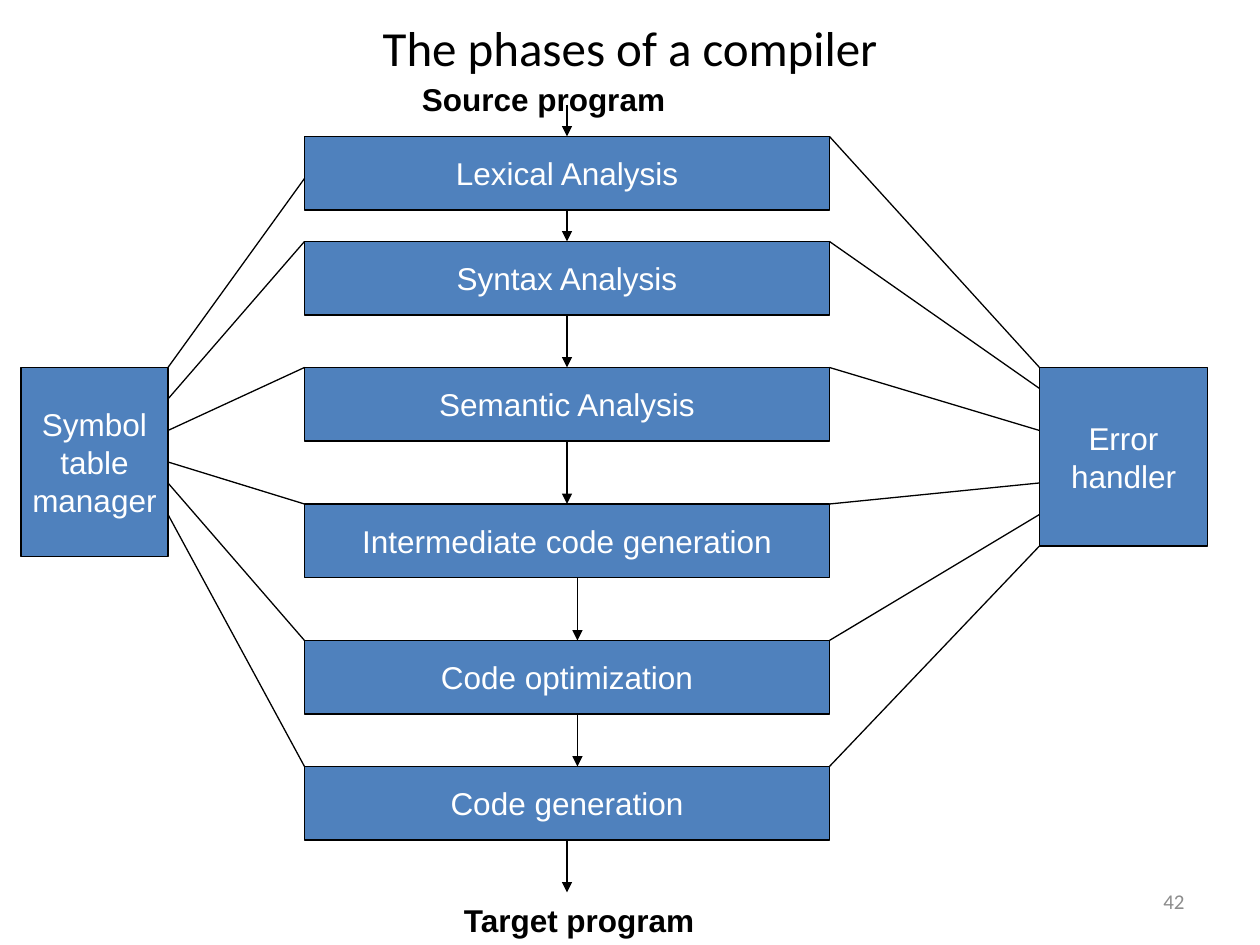
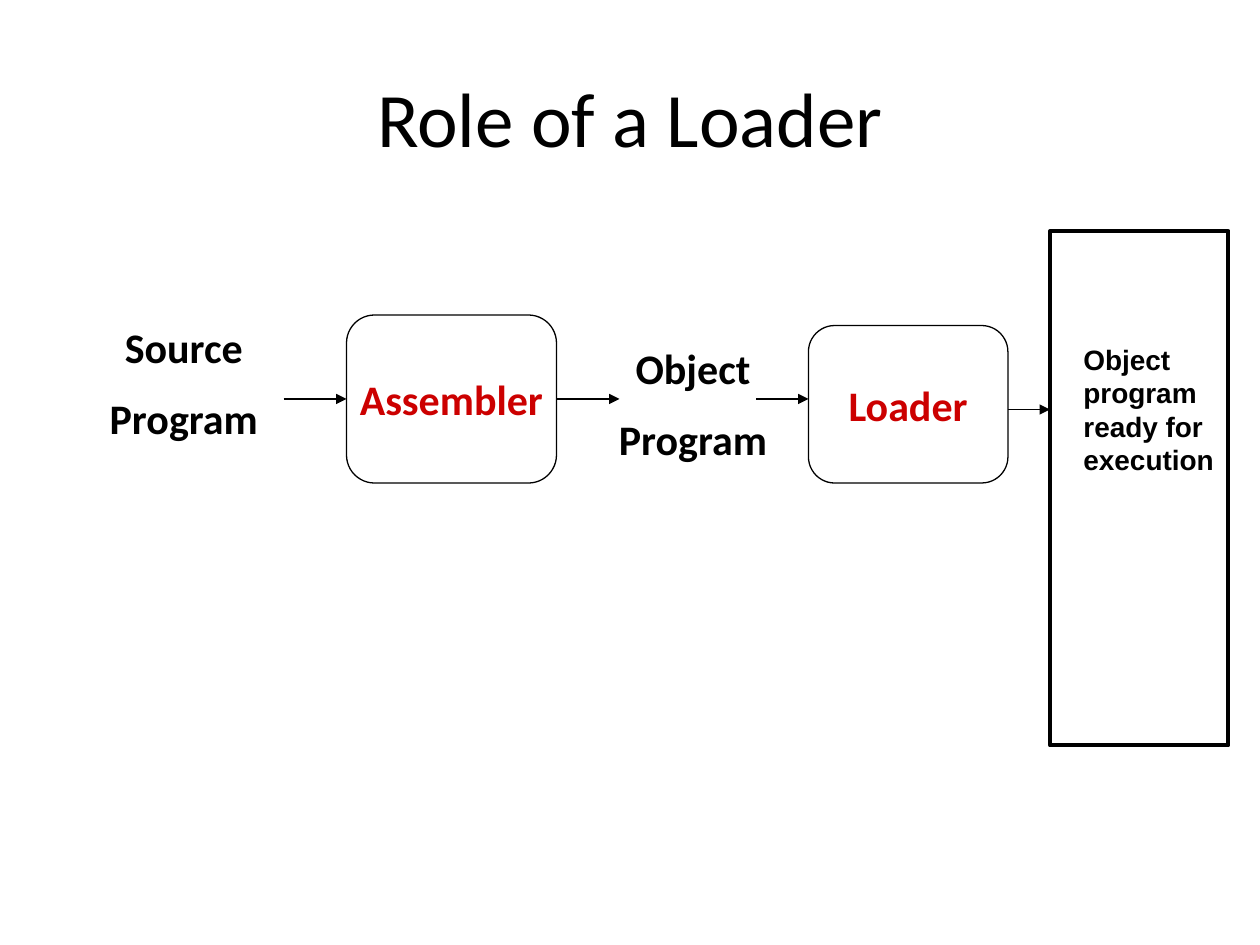
"""Build two slides: the phases of a compiler and the role of a loader."""
from dataclasses import dataclass

from lxml import etree
from pptx import Presentation, util as u
from pptx.dml.color import RGBColor
from pptx.enum import shapes, text
from pptx.oxml.ns import qn

GRID = u.Inches(1) // 12
TOP, LEFT, BOTTOM, RIGHT = range(4)


@dataclass(frozen=True)
class Theme:
    black: str = "000000"
    white: str = "FFFFFF"
    blue: str = "4F81BD"
    red: str = "CC0000"
    grey: str = "8C8C8C"
    heading: str = "Calibri"
    label: str = "Arial"
    thin: float = 0.75
    thick: float = 2.25
    page_size: int = 12
    result_size: int = 16
    label_size: int = 18
    step_size: int = 24


THEME = Theme()

# Lengths below are in grid columns and rows, twelve to the inch.
PHASES = [
    # name, top, port on the symbol table side, port on the error side
    ("Lexical Analysis", 13, 35, 35),
    ("Syntax Analysis", 23, 38, 37),
    ("Semantic Analysis", 35, 41, 41),
    ("Intermediate code generation", 48, 44, 46),
    ("Code optimization", 61, 46, 49),
    ("Code generation", 73, 49, 52),
]
PHASE_LEFT, PHASE_WIDTH, PHASE_HEIGHT = 29, 50, 7
PHASE_RIGHT = PHASE_LEFT + PHASE_WIDTH
PHASE_MIDDLE = PHASE_LEFT + PHASE_WIDTH / 2
SHIFTED_ARROWS = ("Intermediate code generation", "Code optimization")
SYMBOL_TABLE = (["Symbol", "table", "manager"], (2, 35, 14, 18))
ERROR_HANDLER = (["Error", "handler"], (99, 35, 16, 17))
LEXICAL_JOIN = 17
SOURCE_ARROW_TOP, TARGET_ARROW_END = 10, 85
PROGRAMS = [("Source program", (39, 7, 25.6, 4.8)),
            ("Target program", (43, 85.2, 24.6, 4.8))]
PAGE_NUMBER = ("42", (86, 83.4, 28, 4.8))

STEPS = [("Assembler", (33, 30, 20, 16)), ("Loader", (77, 31, 19, 15))]
INPUTS = [(["Source", "Program"], (7, 30, 21, 13.2)),
          (["Object", "Program"], (57, 32, 18, 13.2))]
RESULT = (["Object program ready for execution"], (102, 32, 15, 14))
MEMORY = (100, 22, 17, 49)
FLOW_ROW, RESULT_ROW = 38, 39


def grid(*lengths):
    return [round(length * GRID) for length in lengths]


def colour(value):
    return RGBColor.from_string(value)


def write(frame, lines, size, ink, font=THEME.label, bold=False,
          align=text.PP_ALIGN.CENTER, anchor=text.MSO_ANCHOR.MIDDLE,
          wrap=False, gap=0):
    frame.word_wrap = wrap
    frame.vertical_anchor = anchor
    for number, line in enumerate(lines):
        paragraph = frame.add_paragraph() if number else frame.paragraphs[0]
        paragraph.text = line
        paragraph.alignment = align
        if number and gap:
            paragraph.space_before = u.Pt(gap)
        paragraph.font.name = font
        paragraph.font.size = u.Pt(size)
        paragraph.font.bold = bold
        paragraph.font.color.rgb = colour(ink)


def add_label(slide, lines, place, size, ink=THEME.black, **style):
    label = slide.shapes.add_textbox(*grid(*place))
    write(label.text_frame, lines, size, ink, **style)


def add_box(slide, place, kind=shapes.MSO_SHAPE.RECTANGLE, fill=None, width=THEME.thin):
    box = slide.shapes.add_shape(kind, *grid(*place))
    box.shadow.inherit = False
    if fill:
        box.fill.solid()
        box.fill.fore_color.rgb = colour(fill)
    else:
        box.fill.background()
    box.line.color.rgb = colour(THEME.black)
    box.line.width = u.Pt(width)
    return box


def add_blue_box(slide, lines, place):
    box = add_box(slide, place, fill=THEME.blue)
    write(box.text_frame, lines, THEME.label_size, THEME.white)
    return box


def add_line(slide, start, end, arrow=False, begin=None, finish=None):
    line = slide.shapes.add_connector(
        shapes.MSO_CONNECTOR.STRAIGHT, *grid(*start, *end))
    line.line.color.rgb = colour(THEME.black)
    line.line.width = u.Pt(THEME.thin)
    if arrow:
        etree.SubElement(line.line._get_or_add_ln(), qn("a:tailEnd"), type="triangle")
    etree.SubElement(line._element.spPr, qn("a:effectLst"))
    if begin:
        line.begin_connect(*begin)
    if finish:
        line.end_connect(*finish)


def add_slide(deck, title, place, size):
    slide = deck.slides.add_slide(deck.slide_layouts[5])
    heading = slide.shapes.title
    heading.left, heading.top, heading.width, heading.height = grid(*place)
    write(heading.text_frame, [title], size, THEME.black, THEME.heading, wrap=True)
    return slide


def build_phases(deck):
    slide = add_slide(deck, "The phases of a compiler", (6, 0, 108, 9), 28)
    number, place = PAGE_NUMBER
    add_label(slide, [number], place, THEME.page_size, THEME.grey,
              font=THEME.heading, align=text.PP_ALIGN.RIGHT, wrap=True)
    for program, place in PROGRAMS:
        add_label(slide, [program], place, THEME.label_size, bold=True,
                  align=text.PP_ALIGN.LEFT, anchor=text.MSO_ANCHOR.TOP)
    boxes = [add_blue_box(slide, [name], (PHASE_LEFT, top, PHASE_WIDTH, PHASE_HEIGHT))
             for name, top, *_ in PHASES]
    for helper in (SYMBOL_TABLE, ERROR_HANDLER):
        add_blue_box(slide, *helper)

    symbol_left, _, symbol_width, _ = SYMBOL_TABLE[1]
    for index, (name, top, symbol_port, error_port) in enumerate(PHASES):
        symbol_join = top if index else LEXICAL_JOIN
        add_line(slide, (PHASE_LEFT, symbol_join),
                 (symbol_left + symbol_width, symbol_port))
        add_line(slide, (PHASE_RIGHT, top), (ERROR_HANDLER[1][0], error_port))

    add_line(slide, (PHASE_MIDDLE, SOURCE_ARROW_TOP), (PHASE_MIDDLE, PHASES[0][1]),
             arrow=True, finish=(boxes[0], TOP))
    ends = [top for _, top, *_ in PHASES[1:]] + [TARGET_ARROW_END]
    followers = boxes[1:] + [None]
    for (name, top, *_), end, box, follower in zip(PHASES, ends, boxes, followers):
        shifted = name in SHIFTED_ARROWS
        column = PHASE_MIDDLE + shifted
        add_line(slide, (column, top + PHASE_HEIGHT), (column, end), arrow=True,
                 begin=None if shifted else (box, BOTTOM),
                 finish=(follower, TOP) if follower and not shifted else None)


def build_loader(deck):
    slide = add_slide(deck, "Role of a Loader", (6, 3.6, 108, 15), 44)
    for lines, place in INPUTS:
        add_label(slide, lines, place, THEME.step_size, font=THEME.heading, bold=True,
                  anchor=text.MSO_ANCHOR.TOP, wrap=True, gap=THEME.step_size / 2)
    steps = []
    for name, place in STEPS:
        step = add_box(slide, place, shapes.MSO_SHAPE.FLOWCHART_ALTERNATE_PROCESS)
        write(step.text_frame, [name], THEME.step_size, THEME.red, THEME.heading, True)
        steps.append(step)
    add_box(slide, MEMORY, width=THEME.thick)
    add_label(slide, *RESULT, THEME.result_size, bold=True, wrap=True,
              align=text.PP_ALIGN.LEFT, anchor=text.MSO_ANCHOR.TOP)

    assembler = steps[0]
    for start, end, row, begin, finish in [
        (27, 33, FLOW_ROW, None, (assembler, LEFT)),
        (53, 59, FLOW_ROW, (assembler, RIGHT), None),
        (72, 77, FLOW_ROW, None, None),
        (96, 100, RESULT_ROW, None, None),
    ]:
        add_line(slide, (start, row), (end, row), True, begin, finish)


def main():
    deck = Presentation()
    deck.slide_width, deck.slide_height = u.Inches(10), u.Inches(7.5)
    build_phases(deck)
    build_loader(deck)
    deck.save("out.pptx")


if __name__ == "__main__":
    main()
